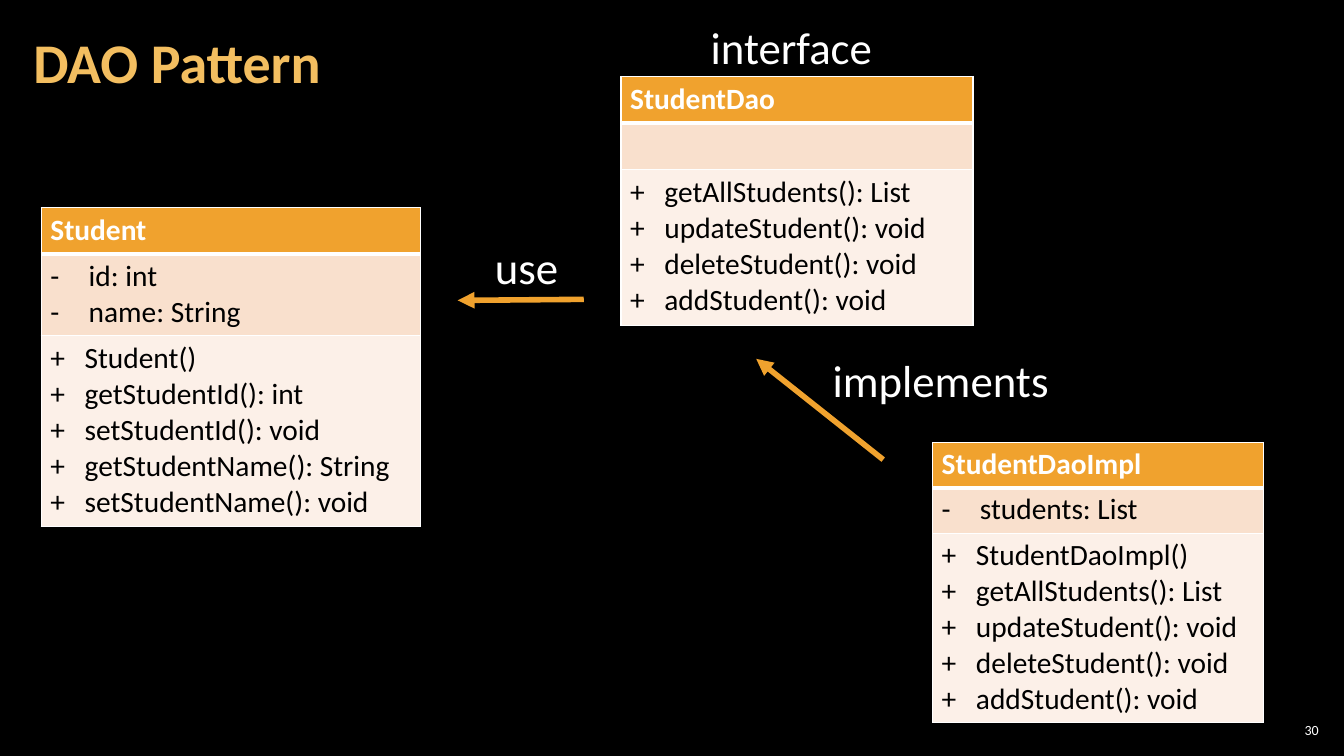
"""Build the DAO Pattern class diagram slide."""
from lxml.etree import SubElement
from pptx import Presentation
from pptx.dml.color import RGBColor
from pptx.enum.shapes import MSO_CONNECTOR as Connector
from pptx.enum.text import MSO_ANCHOR as Anchor, PP_ALIGN as Align
from pptx.oxml.ns import qn
from pptx.util import Inches, Pt

COLORS = {"background": "000000", "title": "F3BE60", "accent": "F0A22E",
          "fields": "F9E0CD", "methods": "FCF0E8", "light": "FFFFFF", "dark": "000000"}


def style_text(paragraph, size, color, bold=False):
    for run in paragraph.runs:
        run.font.name = "Calibri"
        run.font.size = Pt(size)
        run.font.bold = bold
        run.font.color.rgb = RGBColor.from_string(COLORS[color])


def add_border(cell, side, width):
    border = SubElement(cell._tc.get_or_add_tcPr(), qn(f"a:{side}"), w=str(Pt(width)))
    SubElement(SubElement(border, qn("a:solidFill")), qn("a:srgbClr"), val=COLORS["light"])


deck = Presentation()
deck.slide_width, deck.slide_height = Inches(13.33), Inches(7.5)
slide = deck.slides.add_slide(deck.slide_layouts[5])
slide.background.fill.solid()
slide.background.fill.fore_color.rgb = RGBColor.from_string(COLORS["background"])

title = slide.shapes.title
title.left, title.top, title.width, title.height = map(Inches, (0.21, 0.04, 10.47, 1.21))
heading = title.text_frame
heading.margin_left = heading.margin_right = Inches(0.12)
heading.margin_top = heading.margin_bottom = Inches(0.04)
heading.vertical_anchor = Anchor.MIDDLE
heading.text = "DAO Pattern"
heading.paragraphs[0].alignment = Align.LEFT
heading.paragraphs[0].line_spacing = 0.9
style_text(heading.paragraphs[0], 40, "title", True)

dao_methods = ["getAllStudents(): List", "updateStudent(): void",
               "deleteStudent(): void", "addStudent(): void"]
student_methods = ["Student()", "getStudentId(): int", "setStudentId(): void",
                   "getStudentName(): String", "setStudentName(): void"]
classes = [
    ("Student", ["id: int", "name: String"], student_methods,
     (0.41, 2.06, 3.76), (0.45, 0.81, 1.89), 0.05),
    ("StudentDao", [], dao_methods, (6.16, 0.76, 3.49), (0.46, 0.46, 1.55), 0.05),
    ("StudentDaoImpl", ["students: List"], ["StudentDaoImpl()"] + dao_methods,
     (9.25, 4.39, 3.28), (0.45, 0.45, 1.88), 0.04),
]
for class_name, fields, methods, (left, top, width), heights, margin in classes:
    class_box = slide.shapes.add_table(3, 1, Inches(left), Inches(top), Inches(width),
                                       Inches(sum(heights))).table
    class_box.columns[0].width = Inches(width)
    sections = [([class_name], None, 0, "accent", 1, 3),
                (fields, "-", 0.38, "fields", 3, 1),
                (methods, "+", 0.34, "methods", 1, 1)]
    for row, (members, sign, indent, fill, above, below) in enumerate(sections):
        class_box.rows[row].height = Inches(heights[row])
        cell = class_box.cell(row, 0)
        cell.margin_left = cell.margin_right = Inches(0.09)
        cell.margin_top = cell.margin_bottom = Inches(margin)
        for side, line_width in (("lnL", 1), ("lnR", 1), ("lnT", above), ("lnB", below)):
            add_border(cell, side, line_width)
        cell.fill.solid()
        cell.fill.fore_color.rgb = RGBColor.from_string(COLORS[fill])
        cell.text_frame.text = "\n".join(members)
        for member in cell.text_frame.paragraphs:
            if sign and members:
                properties = member._p.get_or_add_pPr()
                properties.set("marL", str(Inches(indent)))
                properties.set("indent", str(-Inches(indent)))
                SubElement(properties, qn("a:buFont"), typeface="Calibri")
                SubElement(properties, qn("a:buChar"), char=sign)
            style_text(member, 21, "dark" if sign else "light", not sign)

for start_x, start_y, end_x, end_y in ((5.79, 2.97, 4.54, 2.98), (8.76, 4.56, 7.5, 3.56)):
    arrow = slide.shapes.add_connector(Connector.STRAIGHT, Inches(start_x), Inches(start_y),
                                       Inches(end_x), Inches(end_y))
    arrow.line.color.rgb = RGBColor.from_string(COLORS["accent"])
    arrow.line.width = Pt(4)
    SubElement(arrow.line._get_or_add_ln(), qn("a:tailEnd"), type="triangle")
    SubElement(arrow._element.spPr, qn("a:effectLst"))

labels = [("use", 4.81, 2.33, 1.17), ("implements", 8.16, 3.45, 3), ("interface", 6.95, 0.15, 2.04)]
for wording, left, top, width in labels:
    label = slide.shapes.add_textbox(Inches(left), Inches(top), Inches(width), Inches(0.64)).text_frame
    label.word_wrap = True
    label.text = wording
    style_text(label.paragraphs[0], 32, "light")

page_number = slide.shapes.add_textbox(Inches(12.65), Inches(7.14), Inches(0.47), Inches(0.21)).text_frame
page_number.word_wrap = True
page_number.margin_left = page_number.margin_right = Inches(0.04)
page_number.margin_top = page_number.margin_bottom = Inches(0.04)
page_number.vertical_anchor = Anchor.MIDDLE
page_number.text = "30"
page_number.paragraphs[0].alignment = Align.RIGHT
style_text(page_number.paragraphs[0], 10, "light")

deck.save("out.pptx")
